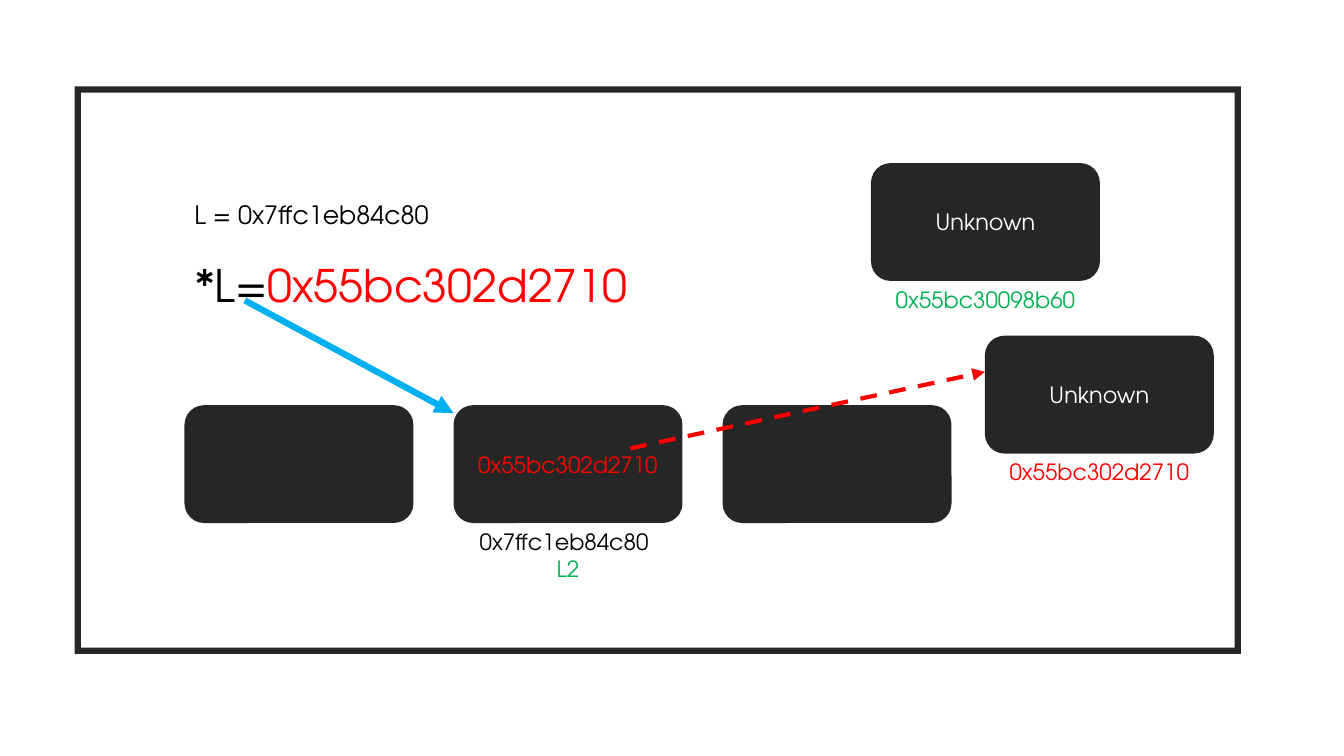
from lxml.etree import SubElement
from pptx import Presentation
from pptx.dml.color import RGBColor
from pptx.enum.dml import MSO_LINE
from pptx.enum.shapes import MSO_CONNECTOR, MSO_SHAPE
from pptx.enum.text import MSO_ANCHOR, PP_ALIGN
from pptx.oxml.ns import qn
from pptx.util import Cm, Pt

DARK, BLACK, WHITE = "262626", "000000", "FFFFFF"
RED, GREEN, BLUE = "FF0000", "00B050", "00B0F0"
CELL_WIDTH, CELL_HEIGHT = 5.77, 2.97
CELL_LEFT, CELL_TOP, CELL_PITCH = 4.65, 10.21, 6.78
LIST_ADDRESS, NODE_ADDRESS = "0x7ffc1eb84c80", "0x55bc302d2710"


def color(code):
    return RGBColor.from_string(code)


def write(para, text, size=16, fill=BLACK, font="TeX Gyre Adventor", align=None):
    span = para.add_run()
    span.text = text
    span.font.size = Pt(size)
    span.font.name = font
    span.font.color.rgb = color(fill)
    if align is not None:
        para.alignment = align


class Diagram:
    """Draws memory cells, labels and pointers on one slide."""

    def __init__(self, page):
        self.shapes = page.shapes

    def solid(self, kind, left, top, width, height):
        box = self.shapes.add_shape(kind, Cm(left), Cm(top), Cm(width), Cm(height))
        box.shadow.inherit = False
        box.fill.solid()
        box.fill.fore_color.rgb = color(DARK)
        box.line.fill.background()
        return box

    def cell(self, left, top, text="", fill=WHITE):
        box = self.solid(MSO_SHAPE.ROUNDED_RECTANGLE, left, top, CELL_WIDTH, CELL_HEIGHT)
        if text:
            box.text_frame.vertical_anchor = MSO_ANCHOR.MIDDLE
            write(box.text_frame.paragraphs[0], text, fill=fill, align=PP_ALIGN.CENTER)

    def label(self, left, top, width, height, wrap=True):
        box = self.shapes.add_textbox(Cm(left), Cm(top), Cm(width), Cm(height))
        box.text_frame.word_wrap = wrap
        return box.text_frame

    def unknown(self, left, top, address, fill):
        self.cell(left, top, "Unknown")
        frame = self.label(left, top + CELL_HEIGHT, CELL_WIDTH, 0.94)
        write(frame.paragraphs[0], address, fill=fill, align=PP_ALIGN.CENTER)

    def arrow(self, start, end, fill, width, dash=None):
        pointer = self.shapes.add_connector(
            MSO_CONNECTOR.STRAIGHT, *(Cm(value) for value in start + end))
        pointer.line.color.rgb = color(fill)
        pointer.line.width = Pt(width)
        if dash is not None:
            pointer.line.dash_style = dash
        SubElement(pointer.line._get_or_add_ln(), qn("a:tailEnd"), type="triangle")
        SubElement(pointer._element.spPr, qn("a:effectLst"))


def main():
    deck = Presentation()
    deck.slide_width, deck.slide_height = Cm(33.87), Cm(19.05)
    page = deck.slides.add_slide(deck.slide_layouts[6])
    diagram = Diagram(page)

    for index, text in enumerate(("", NODE_ADDRESS, "")):
        diagram.cell(CELL_LEFT + index * CELL_PITCH, CELL_TOP, text, RED)
    caption = diagram.label(11.84, CELL_TOP + CELL_HEIGHT, 4.95, 1.63)
    write(caption.paragraphs[0], LIST_ADDRESS)
    write(caption.add_paragraph(), "L2", fill=GREEN, align=PP_ALIGN.CENTER)

    diagram.unknown(21.95, 4.11, "0x55bc30098b60", GREEN)

    border = diagram.solid(MSO_SHAPE.FRAME, 1.88, 2.18, 29.39, 14.3)
    border.adjustments[0] = 0.011

    variable = diagram.label(CELL_LEFT, 4.9, 6.76, 1.02, wrap=False)
    write(variable.paragraphs[0], f"L = {LIST_ADDRESS}", size=18)
    target = diagram.label(4.67, 6.38, 12.12, 3, wrap=False).paragraphs[0]
    write(target, "*L=", size=32)
    write(target, NODE_ADDRESS, size=32, fill=RED)

    diagram.arrow((6.17, 7.57), (11.43, 10.41), BLUE, 4.5)
    diagram.unknown(24.82, 8.46, NODE_ADDRESS, RED)
    diagram.arrow((15.88, 11.3), (24.82, 9.37), RED, 3, MSO_LINE.DASH)

    deck.save("out.pptx")


if __name__ == "__main__":
    main()
